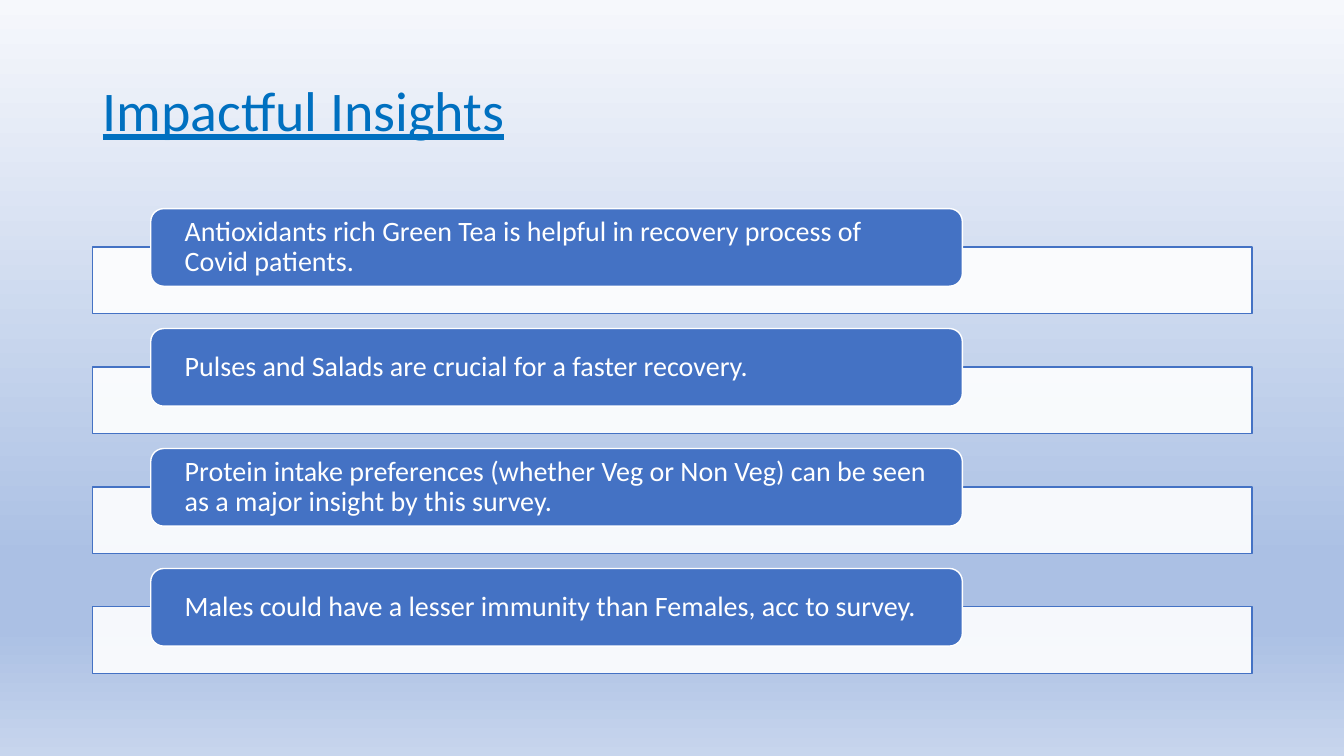
import pptx
import pptx.util
import pptx.dml.color
import pptx.enum.shapes
import pptx.enum.text
import pptx.oxml
import pptx.oxml.ns
from dataclasses import dataclass

Inches = pptx.util.Inches
Pt = pptx.util.Pt
SHAPE = pptx.enum.shapes.MSO_SHAPE


@dataclass(frozen=True)
class Theme:
    font: str = "Calibri"
    title_size: int = 40
    insight_size: int = 20
    title: str = "0070C0"
    accent: str = "4472C4"
    white: str = "FFFFFF"
    band_opacity: int = 90
    line_width: int = 1
    backdrop: tuple = ((0, "F6F8FC"), (74, "ABC0E4"), (83, "ABC0E4"), (100, "C7D5ED"))


THEME = Theme()
SLIDE_WIDTH, SLIDE_HEIGHT = 13.33, 7.5
TITLE_BOX = (0.92, 0.4, 11.5, 1.45)
INSIGHTS_BOX = (0.92, 2.07, 11.5, 4.61)
ROW_PITCH = 1.19
BAND_DROP, BAND_HEIGHT = 0.38, 0.66
LABEL_HEIGHT = 0.77
LABEL_INDENT, LABEL_SHARE = 0.05, 0.7  # shares of the band width

TITLE = "Impactful Insights"
INSIGHTS = (
    "Antioxidants rich Green Tea is helpful in recovery process of Covid patients.",
    "Pulses and Salads are crucial for a faster recovery.",
    "Protein intake preferences (whether Veg or Non Veg) can be seen as a major insight by this survey.",
    "Males could have a lesser immunity than Females, acc to survey.",
)


def rgb(color):
    return pptx.dml.color.RGBColor.from_string(color)


def set_all(target, values):
    for name, value in values.items():
        setattr(target, name, value)


def write(frame, text, size, color, side_inset, end_inset, underline=None):
    set_all(frame, {
        "word_wrap": True,
        "vertical_anchor": pptx.enum.text.MSO_ANCHOR.MIDDLE,
        "margin_left": Inches(side_inset), "margin_right": Inches(side_inset),
        "margin_top": Inches(end_inset), "margin_bottom": Inches(end_inset),
    })
    paragraph = frame.paragraphs[0]
    set_all(paragraph, {"line_spacing": 0.9, "alignment": pptx.enum.text.PP_ALIGN.LEFT})
    run = paragraph.add_run()
    run.text = text
    set_all(run.font, {"name": THEME.font, "size": Pt(size), "underline": underline})
    run.font.color.rgb = rgb(color)


def add_panel(slide, preset, box, fill, line):
    panel = slide.shapes.add_shape(preset, *map(Inches, box))
    panel.shadow.inherit = False
    panel.fill.solid()
    panel.fill.fore_color.rgb = rgb(fill)
    panel.line.color.rgb = rgb(line)
    panel.line.width = Pt(THEME.line_width)
    return panel


def paint_backdrop(slide):
    fill = slide.background.fill
    fill.gradient()
    fill.gradient_angle = 270  # counter-clockwise, so top to bottom
    stops = slide.element.xpath(".//p:bg//a:gsLst")[0]
    for stop in list(stops):
        stops.remove(stop)
    for percent, color in THEME.backdrop:
        stops.append(pptx.oxml.parse_xml(
            f'<a:gs {pptx.oxml.ns.nsdecls("a")} pos="{percent * 1000}">'
            f'<a:srgbClr val="{color}"/></a:gs>'))


def add_title(slide, box):
    heading = slide.shapes.add_textbox(*map(Inches, box))
    write(heading.text_frame, TITLE, THEME.title_size, THEME.title, 0.1, 0.05, underline=True)


def add_insights(slide, box):
    left, top, width, _ = box
    for row, insight in enumerate(INSIGHTS):
        row_top = top + row * ROW_PITCH

        # Translucent band behind the label
        band = add_panel(slide, SHAPE.RECTANGLE,
                         (left, row_top + BAND_DROP, width, BAND_HEIGHT),
                         THEME.white, THEME.accent)
        tint = band.fill._xPr.xpath("./a:solidFill/a:srgbClr")[0]
        alpha = pptx.oxml.parse_xml(
            f'<a:alpha {pptx.oxml.ns.nsdecls("a")} val="{THEME.band_opacity * 1000}"/>')
        tint.append(alpha)

        # Rounded label with the insight
        label = add_panel(slide, SHAPE.ROUNDED_RECTANGLE,
                          (left + LABEL_INDENT * width, row_top, LABEL_SHARE * width, LABEL_HEIGHT),
                          THEME.accent, THEME.white)
        write(label.text_frame, insight, THEME.insight_size, THEME.white, 0.3, 0)


def main():
    deck = pptx.Presentation()
    set_all(deck, {"slide_width": Inches(SLIDE_WIDTH), "slide_height": Inches(SLIDE_HEIGHT)})
    slide = deck.slides.add_slide(deck.slide_layouts[6])
    paint_backdrop(slide)
    add_title(slide, TITLE_BOX)
    add_insights(slide, INSIGHTS_BOX)
    deck.save("out.pptx")


if __name__ == "__main__":
    main()
